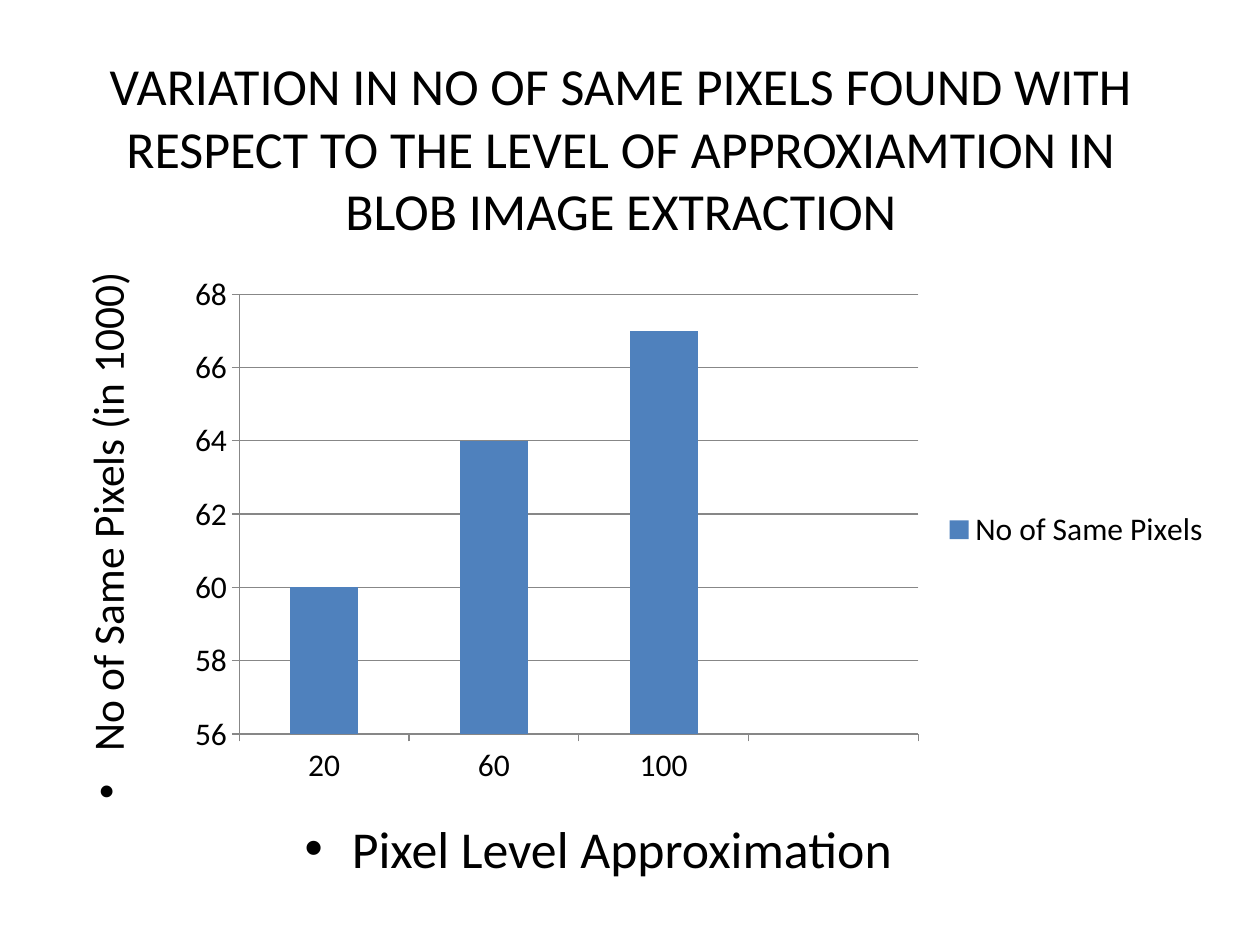
from lxml import etree
from pptx import Presentation
from pptx.chart.data import CategoryChartData as ChartData
from pptx.dml.color import RGBColor
from pptx.enum.chart import XL_CHART_TYPE as ChartType
from pptx.enum.chart import XL_LEGEND_POSITION as LegendPosition
from pptx.enum.chart import XL_TICK_MARK as TickMark
from pptx.enum.text import MSO_ANCHOR as Anchor
from pptx.enum.text import PP_ALIGN as Align
from pptx.oxml.ns import qn
from pptx.util import Pt

BLACK = RGBColor(0x00, 0x00, 0x00)
BAR_BLUE = RGBColor(0x4F, 0x81, 0xBD)
AXIS_GREY = RGBColor(0x87, 0x87, 0x87)
FONT = "Calibri"
BULLET_INDENT = Pt(27)


def apply_format(target, values):
    for name, value in values.items():
        setattr(target, name, value)


def style_font(font, size):
    apply_format(font, {"name": FONT, "size": Pt(size), "bold": False})
    font.color.rgb = BLACK


def add_label(slide, bounds, wording, size, frame_format):
    label = slide.shapes.add_textbox(*map(Pt, bounds))
    apply_format(label.text_frame, {"word_wrap": True, **frame_format})
    paragraph = label.text_frame.paragraphs[0]
    run = paragraph.add_run()
    run.text = wording
    style_font(run.font, size)
    return label, paragraph


def add_bullet(paragraph):
    properties = paragraph._p.get_or_add_pPr()
    properties.set("marL", str(BULLET_INDENT))
    properties.set("indent", str(-BULLET_INDENT))
    space_before = etree.SubElement(properties, qn("a:spcBef"))
    etree.SubElement(space_before, qn("a:spcPct"), val="20000")
    etree.SubElement(properties, qn("a:buFont"), typeface="Arial")
    etree.SubElement(properties, qn("a:buChar"), char="•")


def style_line(line):
    line.width = Pt(0.75)
    line.color.rgb = AXIS_GREY


def add_pixel_chart(slide, bounds):
    pixel_counts = ChartData()
    pixel_counts.categories = ["20", "60", "100", ""]
    pixel_counts.add_series("No of Same Pixels", [60, 64, 67, None])
    chart = slide.shapes.add_chart(
        ChartType.COLUMN_STACKED, *map(Pt, bounds), pixel_counts
    ).chart
    style_font(chart.font, 18)
    apply_format(chart, {"has_title": False, "has_legend": True})
    apply_format(chart.legend, {"position": LegendPosition.RIGHT, "include_in_layout": False})

    columns = chart.plots[0]
    apply_format(columns, {"gap_width": 150, "overlap": 100, "vary_by_categories": False})
    fill = columns.series[0].format.fill
    fill.solid()
    fill.fore_color.rgb = BAR_BLUE

    for axis in (chart.category_axis, chart.value_axis):
        apply_format(axis, {"major_tick_mark": TickMark.OUTSIDE, "minor_tick_mark": TickMark.NONE})
        style_line(axis.format.line)
    apply_format(
        chart.value_axis,
        {"minimum_scale": 56, "maximum_scale": 68, "major_unit": 2, "has_major_gridlines": True},
    )
    style_line(chart.value_axis.major_gridlines.format.line)


def main():
    deck = Presentation()
    apply_format(deck, {"slide_width": Pt(720), "slide_height": Pt(540)})
    slide = deck.slides.add_slide(deck.slide_layouts[6])

    _, heading = add_label(
        slide,
        (31, 60.5, 648, 90),
        "VARIATION IN NO OF SAME PIXELS FOUND WITH RESPECT TO "
        "THE LEVEL OF APPROXIAMTION IN BLOB IMAGE EXTRACTION",
        29.7,
        {"vertical_anchor": Anchor.MIDDLE, "margin_bottom": Pt(46)},
    )
    heading.alignment = Align.CENTER

    add_pixel_chart(slide, (99.4, 151.2, 599.8, 303.1))

    _, level_caption = add_label(
        slide, (167, 463, 374.4, 49), "Pixel Level Approximation", 29.6, {}
    )
    add_bullet(level_caption)

    count_label, count_caption = add_label(
        slide, (-89.3, 277.2, 324, 49), "No of Same Pixels (in 1000)", 24.8, {}
    )
    count_label.rotation = 270
    count_caption.line_spacing = 0.8
    add_bullet(count_caption)

    deck.save("out.pptx")


if __name__ == "__main__":
    main()
